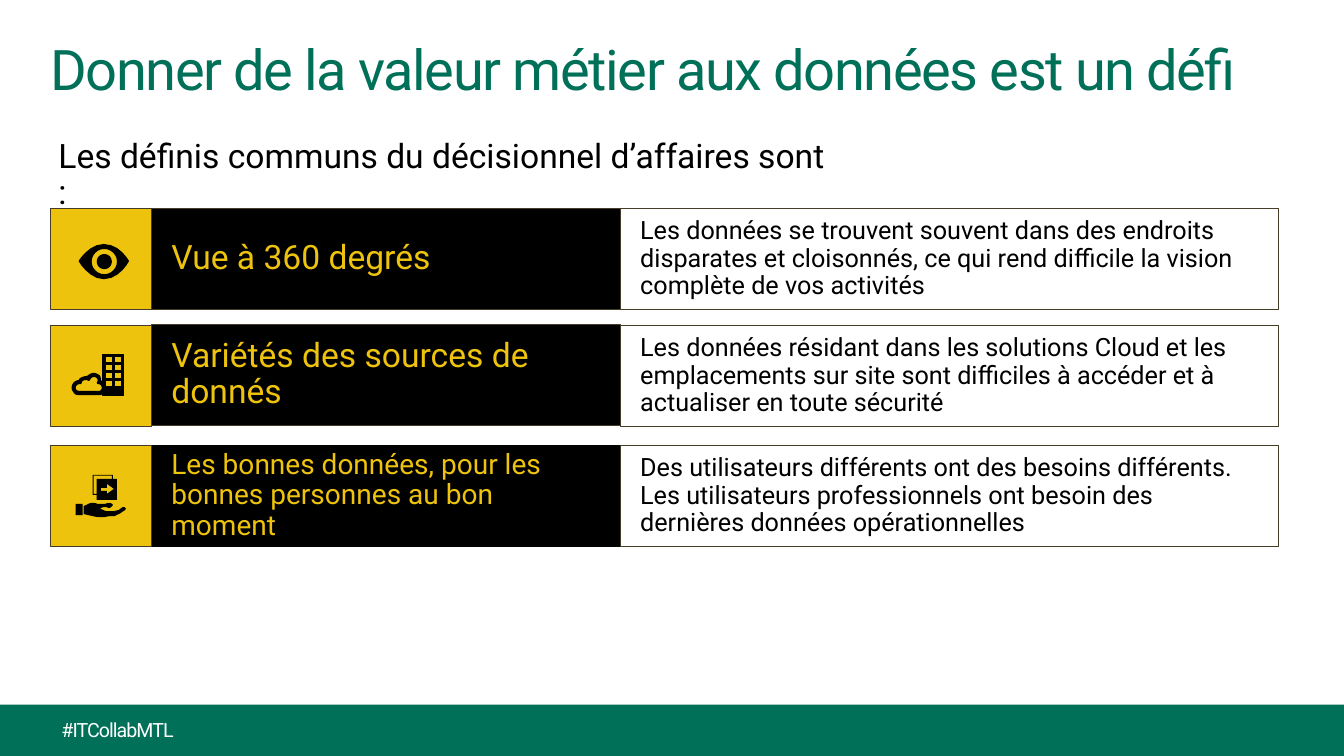
from dataclasses import dataclass

from pptx import Presentation
from pptx.dml.color import RGBColor
from pptx.enum.shapes import MSO_SHAPE as Preset
from pptx.enum.text import MSO_ANCHOR as Anchor, PP_ALIGN as Align
from pptx.util import Emu, Pt

PX = 9144  # EMU per px, 100 px to the inch
FINE = 10  # freeform units per px
STEPS = 6  # straight pieces per curve

GREEN = RGBColor(0x01, 0x70, 0x58)
GOLD = RGBColor(0xED, 0xC3, 0x0D)
BROWN = RGBColor(0x44, 0x3C, 0x29)
BLACK = RGBColor(0x00, 0x00, 0x00)
WHITE = RGBColor(0xFF, 0xFF, 0xFF)

Point = tuple[float, float]
Contour = list[Point]


@dataclass(frozen=True)
class Box:
    left: int
    top: int
    width: int
    height: int


@dataclass(frozen=True)
class TextStyle:
    size: int
    color: RGBColor
    spacing: int = 0  # hundredths of a point
    line_spacing: float = 0.9
    indent: int = 0


@dataclass(frozen=True)
class Icon:
    contours: list[Contour]
    line_width: float = 0


@dataclass(frozen=True)
class Row:
    top: int
    label_top: int
    label: str
    label_size: int
    label_line: RGBColor
    detail: str
    icons: list[Icon]


def px(length: int) -> Emu:
    return Emu(length * PX)


def place(box: Box) -> list[Emu]:
    return [px(side) for side in (box.left, box.top, box.width, box.height)]


def curve(*coords: float) -> Contour:
    """Flatten a chain of cubic curves: a start, then three points per curve."""
    points = list(zip(coords[::2], coords[1::2]))
    flat = [points[0]]
    for first in range(0, len(points) - 1, 3):
        a, b, c, d = points[first:first + 4]
        for step in range(1, STEPS + 1):
            t = step / STEPS
            u = 1 - t
            weights = (u ** 3, 3 * u * u * t, 3 * u * t * t, t ** 3)
            flat.append(tuple(sum(w * p[axis] for w, p in zip(weights, (a, b, c, d)))
                              for axis in (0, 1)))
    return flat


def polygon(*coords: float) -> Contour:
    return list(zip(coords[::2], coords[1::2]))


def rectangle(left: float, top: float, right: float, bottom: float) -> Contour:
    return polygon(left, top, right, top, right, bottom, left, bottom)


def circle(x: float, y: float, r: float) -> Contour:
    k = r * 0.55
    return curve(x, y - r, x + k, y - r, x + r, y - k, x + r, y,
                 x + r, y + k, x + k, y + r, x, y + r,
                 x - k, y + r, x - r, y + k, x - r, y,
                 x - r, y - k, x - k, y - r, x, y - r)


def write(shape, text: str, style: TextStyle, insets: tuple[int, int], anchor) -> None:
    frame = shape.text_frame
    side, edge = px(insets[0]), px(insets[1])
    frame_format = {"word_wrap": True, "vertical_anchor": anchor,
                    "margin_left": side, "margin_right": side,
                    "margin_top": edge, "margin_bottom": edge}
    for name, value in frame_format.items():
        setattr(frame, name, value)
    para = frame.paragraphs[0]
    para.alignment = Align.LEFT
    para.line_spacing = style.line_spacing
    if style.indent:
        para._p.get_or_add_pPr().set("marL", str(px(style.indent)))
    span = para.add_run()
    span.text = text
    for name, value in {"name": "Roboto", "size": Pt(style.size)}.items():
        setattr(span.font, name, value)
    span.font.color.rgb = style.color
    if style.spacing:
        span._r.get_or_add_rPr().set("spc", str(style.spacing))


def paint(shape, fill: RGBColor, line: RGBColor, width: float) -> None:
    shape.shadow.inherit = False
    shape.fill.solid()
    shape.fill.fore_color.rgb = fill
    if width:
        shape.line.color.rgb = line
        shape.line.width = Pt(width)
    else:
        shape.line.fill.background()


def add_panel(page, box: Box, fill: RGBColor, line: RGBColor = BROWN, width: float = 0.75):
    panel = page.shapes.add_shape(Preset.RECTANGLE, *place(box))
    paint(panel, fill, line, width)
    return panel


def add_text(page, box: Box, text: str, style: TextStyle, insets: tuple[int, int] = (0, 0)) -> None:
    write(page.shapes.add_textbox(*place(box)), text, style, insets, Anchor.TOP)


def add_icon(page, icon: Icon) -> None:
    contours = [[(x * FINE, y * FINE) for x, y in contour] for contour in icon.contours]
    builder = page.shapes.build_freeform(*contours[0][0], scale=PX / FINE)
    for number, contour in enumerate(contours):
        if number:
            builder.move_to(*contour[0])
        builder.add_line_segments(contour[1:], close=True)
    paint(builder.convert_to_shape(), BLACK, BLACK, icon.line_width)


def add_row(page, row: Row) -> None:
    label = add_panel(page, Box(150, row.label_top, 465, 100), BLACK, row.label_line)
    write(label, row.label, TextStyle(row.label_size, GOLD), (20, 16), Anchor.MIDDLE)
    detail = add_panel(page, Box(615, row.top, 653, 100), WHITE)
    write(detail, row.detail, TextStyle(18, BLACK), (20, 16), Anchor.MIDDLE)
    add_panel(page, Box(50, row.top, 100, 100), GOLD)
    for icon in row.icons:
        add_icon(page, icon)


# Icons
EYE = Icon([curve(103, 242, 88, 242, 78, 259, 78, 259, 78, 259, 88, 277, 103, 277,
                  119, 277, 128, 259, 128, 259, 128, 259, 119, 242, 103, 242),
            circle(103.5, 259.5, 12.5), circle(103.5, 259.5, 7.5)])
WINDOWS = [rectangle(x, y, x + 7, y + 6) for x in (105, 113.5) for y in range(354, 386, 8)]
BUILDING = Icon([rectangle(102, 352, 122.5, 392), *WINDOWS], 0.75)
CLOUD = Icon([
    curve(102, 380, 101, 379, 100, 378.5, 99, 378, 99, 376, 99, 374, 98, 373,
          96, 372, 95, 371, 93, 371, 91, 371, 89, 372, 87, 374,
          84, 374, 82, 375, 80, 376, 80, 376, 79, 377, 79, 378,
          77, 378, 75, 379, 74, 380, 73, 381, 72, 383, 72, 385,
          72, 386, 73, 388, 74, 389, 75, 391, 77, 391, 79, 391,
          85, 391, 92, 391, 98, 391, 99, 391, 101, 391, 102, 389,
          103, 388, 104, 386, 104, 385, 104, 383, 103, 381, 102, 380),
    curve(98, 389, 92, 389, 85, 389, 79, 389, 76, 389, 74, 387, 74, 385,
          74, 382, 76, 380, 80, 380, 80, 378, 82, 376, 85, 376,
          86, 376, 87, 376, 88, 377, 89, 375, 91, 373, 93, 373,
          96, 373, 98, 375, 98, 378, 98, 379, 97, 379, 97, 380,
          100, 380, 102, 382, 102, 385, 102, 387, 100, 389, 98, 389)], 1.5)
HAND = Icon([
    curve(125, 505, 125, 505, 124, 506, 123, 507, 122, 507, 121, 508, 120, 509,
          118, 510, 115, 511, 114, 512, 111, 512, 107, 512, 104, 513,
          99, 513, 99, 514, 83, 510, 83, 510, 83, 503, 83, 502,
          86, 501, 87, 500, 90, 499, 93, 499, 95, 499, 97, 500,
          99, 500, 100, 500, 103, 500, 105, 500, 106, 499, 108, 499,
          110, 499, 112, 500, 112, 501, 112, 502, 110, 503, 109, 504,
          106, 504, 107, 503, 104, 503, 101, 503, 101, 504, 99, 505,
          101, 505, 102, 506, 105, 507, 108, 507, 110, 507, 113, 507,
          115, 507, 116, 506, 118, 506, 119, 505, 121, 503, 123, 503,
          124, 503, 125, 505, 125, 505),
    rectangle(75, 500, 82, 511),
    polygon(116, 475, 116, 496, 96, 496, 96, 491, 92, 491, 92, 471, 112, 471, 112, 475),
    polygon(96, 490, 96, 475, 111, 475, 111, 472, 93, 472, 93, 490),
    polygon(113, 485, 106, 480, 106, 484, 100, 484, 100, 487, 106, 487, 106, 490)])

ROWS = [
    Row(207, 207, "Vue à 360 degrés", 24, BROWN,
        "Les données se trouvent souvent dans des endroits disparates et cloisonnés, "
        "ce qui rend difficile la vision complète de vos activités", [EYE]),
    Row(323, 322, "Variétés des sources de donnés", 24, BROWN,
        "Les données résidant dans les solutions Cloud et les emplacements sur site "
        "sont difficiles à accéder et à actualiser en toute sécurité", [BUILDING, CLOUD]),
    Row(442, 442, "Les bonnes données, pour les bonnes personnes au bon moment", 20, BLACK,
        "Des utilisateurs différents ont des besoins différents. Les utilisateurs "
        "professionnels ont besoin des dernières données opérationnelles", [HAND]),
]


def main() -> None:
    deck = Presentation()
    deck.slide_width, deck.slide_height = px(1333), px(750)
    page = deck.slides.add_slide(deck.slide_layouts[6])

    # Footer band
    add_panel(page, Box(0, 699, 1333, 51), GREEN, width=0)
    add_text(page, Box(61, 712, 140, 24), "#ITCollabMTL", TextStyle(14, WHITE, -70, 1.0))

    # Heading, lead-in and challenges
    add_text(page, Box(50, 42, 1219, 82), "Donner de la valeur métier aux données est un défi",
             TextStyle(40, GREEN, -100))
    add_text(page, Box(32, 122, 812, 54), "Les définis communs du décisionnel d’affaires sont :",
             TextStyle(24, BLACK, indent=6), (20, 16))
    for row in ROWS:
        add_row(page, row)

    deck.save("out.pptx")


if __name__ == "__main__":
    main()
